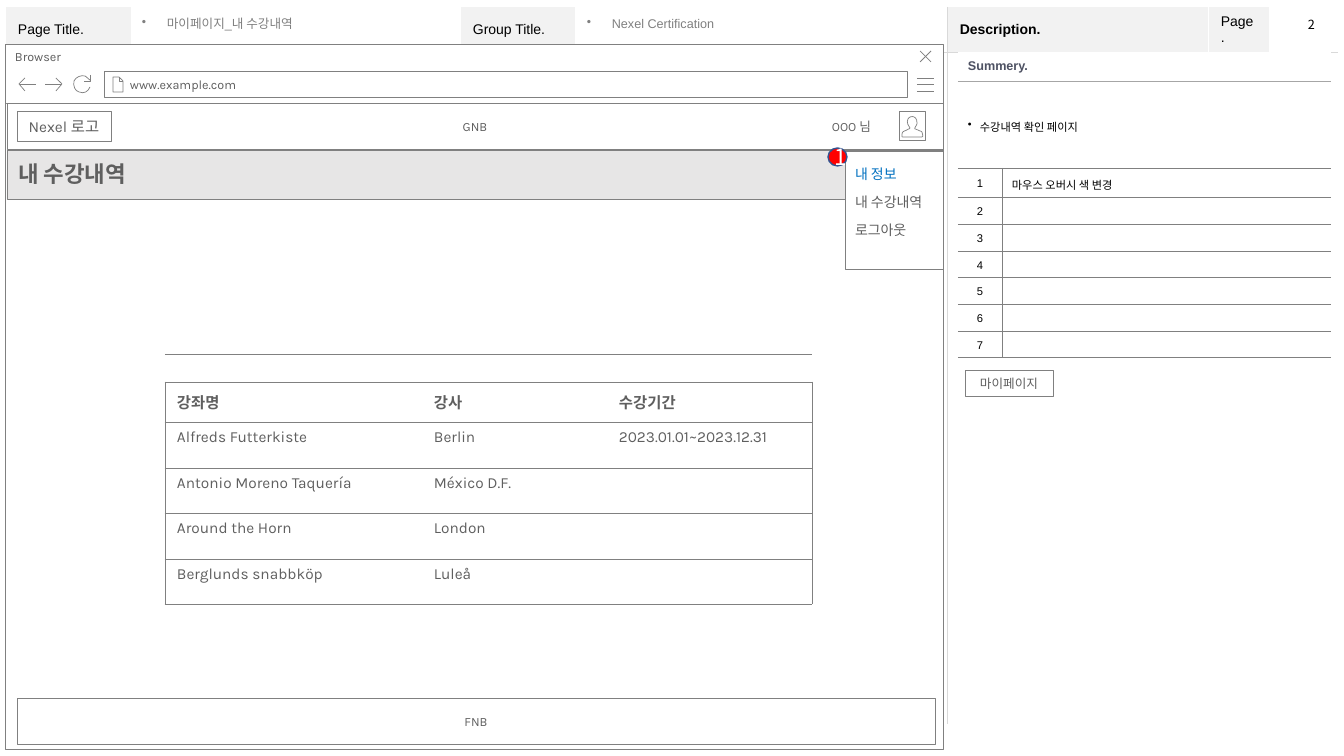
from lxml import etree
from pptx import Presentation, util as u
from pptx.dml.color import RGBColor
from pptx.enum import shapes, text
from pptx.oxml.ns import qn

# Content
C = {"white": "FFFFFF", "black": "000000", "line": "808080", "pale": "D9D9D9", "head": "F2F2F2",
     "rule": "A6A6A6", "text": "5F5F5F", "bar": "E7E6E6", "slate": "4E5263", "blue": "0070C0",
     "red": "FF0000", "navy": "325491"}
KOREAN = "Noto Sans CJK KR"
FRAME_HEADS = ["Page Title.", "", "Group Title.", "", "Description.", "Page.", ""]
FRAME_COLS, FRAME_ROWS = [126, 329, 115, 372, 261, 61, 69], [44, 672]
TITLES = [("마이페이지_내 수강내역", 132, 327), ("Nexel Certification", 577, 367)]
NOTES = ["마우스 오버시 색 변경", "", "", "", "", "", ""]
NOTE_COLS, NOTE_ROWS = [44, 329], [29, 87, 29] + [27, 27, 26] * 2
COURSES = [("강좌명", "강사", "수강기간"),
           ("Alfreds Futterkiste", "Berlin", "2023.01.01~2023.12.31"),
           ("Antonio Moreno Taquería", "México D.F.", ""),
           ("Around the Horn", "London", ""),
           ("Berglunds snabbköp", "Luleå", "")]
COURSE_COLS, COURSE_ROWS = [257, 185, 205], [40] + [46, 45] * 2

# text, left, top, width, height, options; drawn from back to front
BOXES = [
    ("", 5, 103, 938, 646, {}),
    ("Browser", 5, 44, 938, 59, dict(align="l", anchor="t")),
    ("www.example.com", 104, 71, 803, 26, dict(align="l", ins=(26, 5, 10, 5))),
    ("GNB", 7, 103, 936, 46, {}),
    ("FNB", 17, 698, 918, 46, {}),
    ("마이페이지", 965, 370, 88, 26, {}),
    ("OOO 님", 822, 113, 73, 26, dict(align="l", line=None)),
    ("", 899, 111, 26, 29, {}),
    ("Nexel 로고", 17, 111, 94, 30, dict(size=11, ins=(2, 2, 2, 2))),
    ("", 7, 150, 936, 49, dict(fill="bar")),
    ("내 수강내역", 8, 155, 143, 38, dict(size=16, bold=True, align="l", fill="bar", line=None)),
    ("내 정보\n내 수강내역\n로그아웃", 845, 151, 98, 118,
     dict(size=10, align="l", anchor="t", ins=(10, 6, 10, 6), spacing=1.5, first="blue")),
    ("1", 828, 148, 19, 18, dict(size=16, font=KOREAN, color="white", fill="red", line="navy",
                                 weight=1, kind=shapes.MSO_SHAPE.OVAL)),
]

# Icon strokes: a start, then lines (2 numbers) or curves (6 numbers)
ICONS = {
    "menu": [[(917, y), (934, y)] for y in (78, 84, 91)],
    "close": [[(931, 51), (920, 62)], [(920, 51), (931, 62)]],
    "page": [[(119, 77), (119, 81), (123, 81)],
             [(113, 77), (113, 92), (123, 92), (123, 81), (119, 77), (113, 77)]],
    "back": [[(25, 91), (19, 84), (25, 78)], [(20, 84), (36, 84)]],
    "forward": [[(56, 78), (62, 84), (56, 91)], [(61, 84), (45, 84)]],
    "reload": [[(90, 75), (90, 81), (84, 81)],
               [(90, 87), (88, 92, 84, 94, 79, 92), (75, 91, 73, 86, 74, 81),
                (76, 77, 81, 75, 85, 76), (87, 77, 88, 79, 90, 80)]],
    "user": [[(922, 132), (921, 131, 919, 131, 918, 130), (917, 130, 916, 129, 915, 129),
              (914, 128, 916, 127, 917, 124), (917, 122, 917, 118, 914, 117),
              (912, 116, 909, 117, 908, 119), (906, 123, 909, 126, 910, 128),
              (910, 129, 908, 129, 907, 130), (905, 131, 904, 131, 903, 132),
              (902, 133, 902, 134, 902, 136), (902, 137, 902, 137, 903, 137), (922, 137),
              (924, 137, 922, 133, 922, 132)]],
}

prs = Presentation()
SCALE = 12192000 / 1344
prs.slide_width, prs.slide_height = u.Emu(12192000), u.Emu(6858000)
s = prs.slides.add_slide(prs.slide_layouts[6])
ALIGN = {"l": text.PP_ALIGN.LEFT, "c": text.PP_ALIGN.CENTER, "j": text.PP_ALIGN.JUSTIFY}
ANCHOR = {"t": text.MSO_ANCHOR.TOP, "m": text.MSO_ANCHOR.MIDDLE}


def px(n):
    return u.Emu(round(n * SCALE))


def rgb(name):
    return RGBColor.from_string(C[name])


def write(tf, words, size=9, font="Arial", color="text", bold=False, align="l", spacing=None, bullet=0):
    tf.text = words
    for p in tf.paragraphs:
        p.alignment = ALIGN[align]
        if spacing:
            p.line_spacing = spacing
        if bullet:
            pr = p._p.get_or_add_pPr()
            pr.set("marL", str(px(bullet)))
            pr.set("indent", str(-px(bullet)))
            etree.SubElement(pr, qn("a:buChar")).set("char", "•")
        for r in p.runs:
            r.font.size, r.font.name, r.font.bold = u.Pt(size), font, bold
            r.font.color.rgb = rgb(color)
            etree.SubElement(r._r.get_or_add_rPr(), qn("a:ea")).set("typeface", KOREAN)
        if not p.runs:
            etree.SubElement(p._p, qn("a:endParaRPr")).set("sz", str(size * 100))


def inset(owner, ins):
    owner.margin_left, owner.margin_top, owner.margin_right, owner.margin_bottom = map(px, ins)


def paint(shape, fill, line, weight):
    shape.shadow.inherit = False
    if fill:
        shape.fill.solid()
        shape.fill.fore_color.rgb = rgb(fill)
    else:
        shape.fill.background()
    if line:
        shape.line.color.rgb = rgb(line)
        shape.line.width = u.Pt(weight)
    else:
        shape.line.fill.background()


def add_box(words, x, y, w, h, size=9, font="Karla", color="text", bold=False, align="c", anchor="m",
            ins=(10, 5, 10, 5), spacing=None, first=None, fill="white", line="line", weight=0.5,
            kind=shapes.MSO_SHAPE.RECTANGLE):
    sp = s.shapes.add_shape(kind, px(x), px(y), px(w), px(h))
    paint(sp, fill, line, weight)
    tf = sp.text_frame
    tf.word_wrap, tf.vertical_anchor = True, ANCHOR[anchor]
    inset(tf, ins)
    if words:
        write(tf, words, size, font, color, bold, align, spacing)
    if first:
        tf.paragraphs[0].runs[0].font.color.rgb = rgb(first)
        for p in tf.paragraphs:
            p.space_after = u.Pt(2)


def add_grid(x, y, cols, rows):
    table = s.shapes.add_table(len(rows), len(cols), px(x), px(y), px(sum(cols)), px(sum(rows))).table
    table.first_row = table.horz_banding = False
    for col, w in zip(table.columns, cols):
        col.width = px(w)
    for row, h in zip(table.rows, rows):
        row.height = px(h)
    return table


def set_cell(cell, words="", edges=None, weight=0.25, fill=None, anchor="m", ins=(10, 5, 10, 5), **style):
    write(cell.text_frame, words, **style)
    cell.vertical_anchor = ANCHOR[anchor]
    inset(cell, ins)
    pr = cell._tc.get_or_add_tcPr()
    for side in "LRTB":
        ln = etree.SubElement(pr, qn("a:ln" + side))
        color = (edges or {}).get(side)
        if color:
            ln.set("w", str(u.Pt(weight)))
            solid = etree.SubElement(ln, qn("a:solidFill"))
            etree.SubElement(solid, qn("a:srgbClr")).set("val", C[color])
        else:
            etree.SubElement(ln, qn("a:noFill"))
    if fill:
        cell.fill.solid()
        cell.fill.fore_color.rgb = rgb(fill)
    else:
        cell.fill.background()


def add_icon(strokes, fill=None):
    fb = s.shapes.build_freeform(*map(px, strokes[0][0]))
    for i, (start, *parts) in enumerate(strokes):
        if i:
            fb.move_to(*map(px, start))
        points = [start]
        for part in parts:
            knots = [points[-1], part[:2], part[2:4], part[4:]]
            if len(part) == 2:
                points.append(part)
                continue
            for t in (0.25, 0.5, 0.75, 1):
                mix = ((1 - t) ** 3, 3 * t * (1 - t) ** 2, 3 * t * t * (1 - t), t ** 3)
                points.append(tuple(sum(m * k[axis] for m, k in zip(mix, knots)) for axis in (0, 1)))
        fb.add_line_segments([(px(a), px(b)) for a, b in points[1:]], close=bool(fill))
    paint(fb.convert_to_shape(), fill, "line", 0.5)


# Page frame
frame = add_grid(5, 7, FRAME_COLS, FRAME_ROWS)
for i, words in enumerate(FRAME_HEADS):
    edges = {"B": "pale", "L": "pale" if i == 4 else "white", "R": "pale" if i == 3 else "white"}
    set_cell(frame.cell(0, i), words, edges, fill="head" if words else None, ins=(13, 7, 13, 7),
             size=10, color="black", bold=i == 4)
for first, last, side in ((0, 3, "R"), (4, 6, "L")):
    for i in range(first, last + 1):
        set_cell(frame.cell(1, i), edges={"T": "pale", side: "pale" if i in (0, 3, 4) else None})
    frame.cell(1, first).merge(frame.cell(1, last))

# Page titles and number
for words, x, w in TITLES:
    tf = s.shapes.add_textbox(px(x), px(12), px(w), px(24)).text_frame
    tf.word_wrap, tf.vertical_anchor = True, ANCHOR["m"]
    write(tf, words, color="line", spacing=0.9, bullet=25)
tf = s.shapes.add_textbox(px(1298), px(12), px(27), px(25)).text_frame
write(tf, "2", font=KOREAN, color="black")

# Description table
notes = add_grid(958, 52, NOTE_COLS, NOTE_ROWS)
for i in (0, 1):
    set_cell(notes.cell(0, i), "" if i else "Summery.", {"B": "rule"}, fill="white", color="slate", bold=True)
    set_cell(notes.cell(1, i), "" if i else "수강내역 확인 페이지", {"T": "rule", "B": "line"},
             size=8, color="black", align="j", spacing=1.2, bullet=12)
for row in (0, 1):
    notes.cell(row, 0).merge(notes.cell(row, 1))
for n, words in enumerate(NOTES, 1):
    look = dict(size=8, color="black", spacing=1.2)
    set_cell(notes.cell(n + 1, 0), str(n), dict.fromkeys("TRB", "line"), align="c", **look)
    set_cell(notes.cell(n + 1, 1), words, dict.fromkeys("LTB", "line"), align="j", **look)

# Browser window
for *place, options in BOXES:
    add_box(*place, **options)
for name, strokes in ICONS.items():
    add_icon(strokes, "white" if name == "user" else None)

# Course list
rule = s.shapes.add_connector(shapes.MSO_CONNECTOR.STRAIGHT, px(165), px(354), px(812), px(354))
rule.line.color.rgb, rule.line.width = rgb("line"), u.Pt(0.5)
etree.SubElement(rule._element.spPr, qn("a:effectLst"))
courses = add_grid(165, 382, COURSE_COLS, COURSE_ROWS)
for y, row in enumerate(COURSES):
    for x, words in enumerate(row):
        edges = {"T": "line", "B": "line", "L": None if x else "line", "R": "line" if x == 2 else None}
        set_cell(courses.cell(y, x), words, edges, 0.5, "white", "t" if y else "m", (12, 6, 12, 6),
                 size=11, font="Karla", bold=y == 0)

prs.save("out.pptx")
